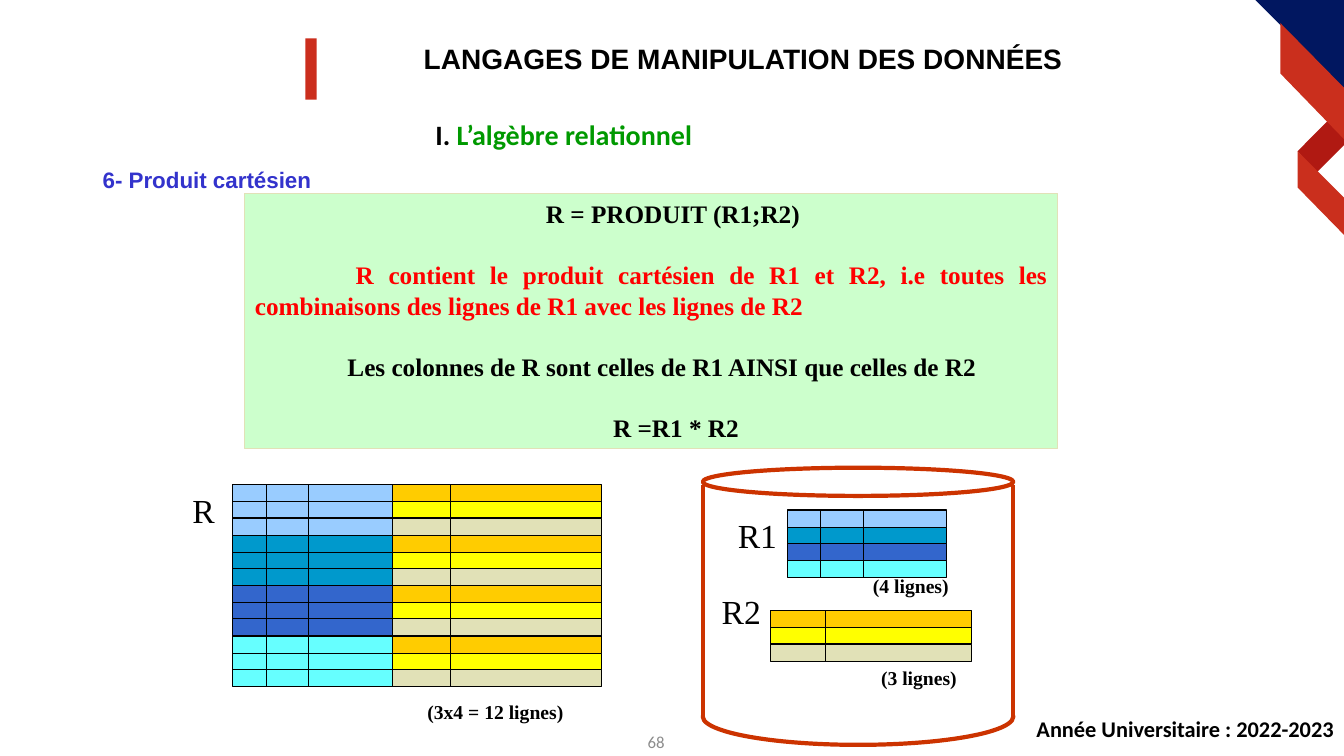
from lxml import etree
from pptx import Presentation
from pptx.dml.color import RGBColor
from pptx.enum.shapes import MSO_CONNECTOR, MSO_SHAPE
from pptx.enum.text import MSO_ANCHOR, PP_ALIGN
from pptx.oxml.ns import qn
from pptx.util import Pt

RECTANGLE, OVAL = MSO_SHAPE.RECTANGLE, MSO_SHAPE.OVAL
STRAIGHT = MSO_CONNECTOR.STRAIGHT
LEFT, CENTER, RIGHT, JUSTIFY = PP_ALIGN.LEFT, PP_ALIGN.CENTER, PP_ALIGN.RIGHT, PP_ALIGN.JUSTIFY
TOP, MIDDLE = MSO_ANCHOR.TOP, MSO_ANCHOR.MIDDLE

PX = 9144
TITLE = "LANGAGES DE MANIPULATION DES DONNÉES"
SERIF = "Times New Roman"
BLACK, WHITE, RED, RIM = "000000", "FFFFFF", "CA2F1D", "CC3300"

RIBBONS = [
    ("B01912", [(1319, 118), (1333, 135), (1333, 144), (1305, 172), (1287, 150)]),
    ("011760", [(1245, 0), (1333, 0), (1333, 88)]),
    (RED, [(1287, 150), (1333, 196), (1333, 233), (1287, 186)]),
    (RED, [(1270, 23), (1333, 87), (1333, 138), (1270, 73)]),
]

DEFINITION_LINE = 21.8
DEFINITION = [
    ("R = PRODUIT (R1;R2)", CENTER, 43, BLACK),
    ("R contient le produit cartésien de R1 et R2, i.e toutes les combinaisons "
     "des lignes de R1 avec les lignes de R2", JUSTIFY, 100, "FF0000"),
    ("Les colonnes de R sont celles de R1 AINSI que celles de R2", CENTER, 21, BLACK),
    ("R =R1 * R2", CENTER, 49, BLACK),
]

R1_COLORS = ["99CCFF", "0099CC", "3366CC", "66FFFF"]
R2_COLORS = ["FFCC00", "FFFF00", "E1E1B7"]
R1_DIVIDERS = [33, 75]
RELATIONS = [
    (781, 506, 158, R1_DIVIDERS, R1_COLORS),
    (764, 606, 200, [55], R2_COLORS),
    (231, 481, 158, R1_DIVIDERS, [color for color in R1_COLORS for _ in R2_COLORS]),
    (389, 481, 208, [58], R2_COLORS * len(R1_COLORS)),
]
ROWS_PER_50_PX = 3

NAMES = [("R1", 722, 506), ("R2", 706, 581), ("R", 181, 481)]
COUNTS = [("(4 lignes)", 856, 564), ("(3 lignes)", 864, 656), ("(3x4 = 12 lignes)", 414, 689)]


def rgb(value):
    return RGBColor.from_string(value)


def paint(shape, fill, line=None, weight=0.75):
    shape.shadow.inherit = False
    shape.fill.solid()
    shape.fill.fore_color.rgb = rgb(fill)
    if line:
        shape.line.color.rgb = rgb(line)
        shape.line.width = Pt(weight)
    else:
        shape.line.fill.background()


def add_block(page, kind, left, top, width, height, fill, line=None, weight=0.75):
    block = page.shapes.add_shape(kind, left * PX, top * PX, width * PX, height * PX)
    paint(block, fill, line, weight)
    return block


def add_line(page, x, top, bottom, color=BLACK, weight=0.75):
    line = page.shapes.add_connector(STRAIGHT, x * PX, top * PX, x * PX, bottom * PX)
    line.line.color.rgb = rgb(color)
    line.line.width = Pt(weight)
    etree.SubElement(line._element.spPr, qn("a:effectLst"))


def add_span(para, text, size=18, color=BLACK, font=SERIF, bold=True):
    span = para.add_run()
    span.text = text
    span.font.name = font
    span.font.size = Pt(size)
    span.font.bold = bold
    span.font.color.rgb = rgb(color)


def add_text(page, text, left, top, width, height, align=LEFT, spacing=1.0, anchor=TOP, **style):
    box = page.shapes.add_textbox(left * PX, top * PX, width * PX, height * PX)
    frame = box.text_frame
    frame.word_wrap = True
    frame.vertical_anchor = anchor
    para = frame.paragraphs[0]
    para.alignment = align
    para.line_spacing = spacing
    add_span(para, text, **style)
    return para


def add_title(page):
    title = page.shapes.title
    title.left, title.top, title.width, title.height = [n * PX for n in (342, 40, 790, 65)]
    frame = title.text_frame
    frame.word_wrap = True
    frame.vertical_anchor = TOP
    para = frame.paragraphs[0]
    para.alignment = CENTER
    para.line_spacing = 0.9
    add_span(para, TITLE, size=20, font="Arial")


def add_ribbons(page):
    for color, points in RIBBONS:
        builder = page.shapes.build_freeform(*points[0], scale=PX)
        builder.add_line_segments(points[1:], close=True)
        paint(builder.convert_to_shape(), color)


def add_definition(page):
    frame = add_block(page, RECTANGLE, 243, 192, 806, 253, "CCFFCC", "E1E1B7").text_frame
    frame.word_wrap = True
    frame.vertical_anchor = TOP
    for index, (text, align, indent, color) in enumerate(DEFINITION):
        para = frame.add_paragraph() if index else frame.paragraphs[0]
        para.alignment = align
        para.line_spacing = Pt(DEFINITION_LINE)
        if index:
            para.space_before = Pt(DEFINITION_LINE)
        para._p.get_or_add_pPr().set("indent", str(indent * PX))
        add_span(para, text, color=color)


def add_cylinder(page):
    left, width = 697, 308
    add_block(page, OVAL, left, 683, width, 56, WHITE, RIM, 3)
    add_block(page, RECTANGLE, left, 672, width, 39, WHITE)
    add_block(page, OVAL, left, 464, width, 28, WHITE, RIM, 3)
    for x in (left, left + width):
        add_line(page, x, 481, 711, RIM, 3)


def add_relation(page, left, top, width, dividers, colors):
    edges = [top + round(row * 50 / ROWS_PER_50_PX) for row in range(len(colors) + 1)]
    for color, upper, lower in zip(colors, edges, edges[1:]):
        add_block(page, RECTANGLE, left, upper, width, lower - upper, color, BLACK)
        for offset in dividers:
            add_line(page, left + offset, upper, lower)


def main():
    deck = Presentation()
    deck.slide_width, deck.slide_height = 1333 * PX, 750 * PX
    page = deck.slides.add_slide(deck.slide_layouts[5])
    add_ribbons(page)
    add_block(page, RECTANGLE, 303, 38, 11, 61, "CB2E1D")
    add_title(page)
    heading = add_text(page, "I. ", 422, 118, 500, 40, spacing=0.8, size=20, font="Calibri")
    add_span(heading, "L’algèbre relationnel", size=20, color="009900", font="Calibri")
    add_text(page, "6- Produit cartésien", 92, 147, 400, 45, spacing=1.5,
             size=16, color="3333CC", font="Arial")
    add_definition(page)
    add_cylinder(page)
    for relation in RELATIONS:
        add_relation(page, *relation)
    for name, left, top in NAMES:
        add_text(page, name, left, top, 67, 50, size=24, bold=False)
    for count, left, top in COUNTS:
        add_text(page, count, left, top, 183, 34, size=14)
    add_text(page, "Année Universitaire : 2022-2023", 933, 710, 400, 34, align=RIGHT,
             spacing=0.8, size=16, font="Calibri")
    add_text(page, "68", 369, 716, 300, 40, align=RIGHT, anchor=MIDDLE,
             size=12, color="8C8C8C", font="Calibri", bold=False)
    deck.save("out.pptx")


if __name__ == "__main__":
    main()
